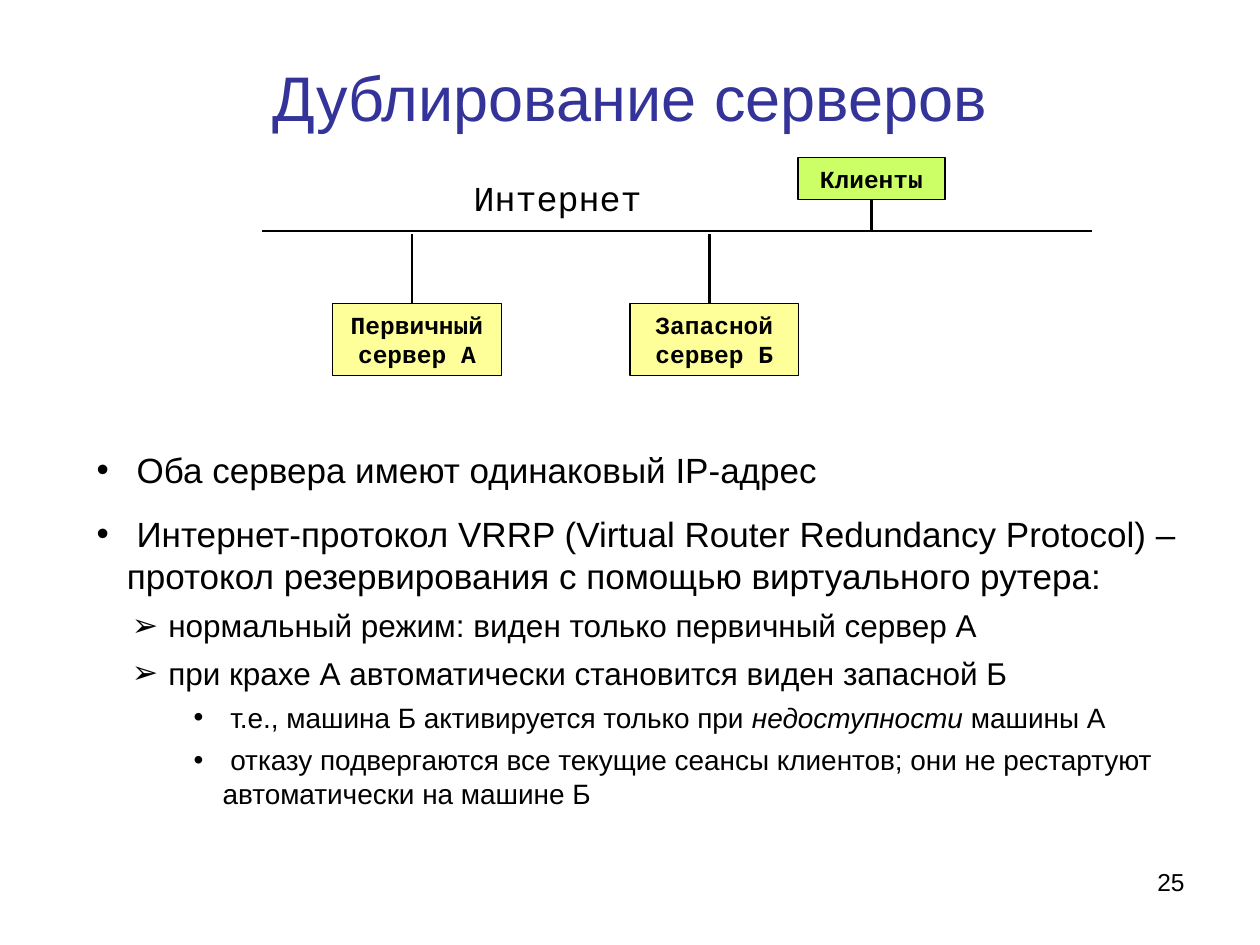
from lxml.etree import SubElement
from pptx import Presentation
from pptx.dml.color import RGBColor
from pptx.enum.shapes import MSO_CONNECTOR as Connector, MSO_SHAPE as Shape
from pptx.enum.text import MSO_ANCHOR as Anchor, MSO_AUTO_SIZE as AutoSize, PP_ALIGN as Align
from pptx.oxml.ns import qn
from pptx.util import Inches, Pt

COLORS = {"title": "333399", "ink": "000000", "server": "FFFF99", "client": "CCFF66"}
COLUMNS, ROWS = 120, 90
SANS, MONO = "Arial", "Courier New"
LEVELS = [
    {"bullet": "•", "size": 20, "before": 12.5, "margin": 0.24, "hang": 0.24},
    {"bullet": "➢", "size": 18, "before": 5.6, "margin": 0.5, "hang": 0.22},
    {"bullet": "•", "size": 16, "before": 5, "margin": 1, "hang": 0.23},
]
POINTS = [
    (0, [" Оба сервера имеют одинаковый IP-адрес"]),
    (0, [" Интернет-протокол VRRP (Virtual Router Redundancy Protocol) – "
         "протокол резервирования с помощью виртуального рутера:"]),
    (1, [" нормальный режим: виден только первичный сервер А"]),
    (1, [" при крахе А автоматически становится виден запасной Б"]),
    (2, [" т.е., машина Б активируется только при ", "недоступности ", "машины А"]),
    (2, [" отказу подвергаются все текущие сеансы клиентов; "
         "они не рестартуют автоматически на машине Б"]),
]


class SlideBuilder:
    """Draws styled elements on one slide, placed by grid columns and rows."""

    def __init__(self, deck):
        self.column = deck.slide_width / COLUMNS
        self.row = deck.slide_height / ROWS
        self.page = deck.slides.add_slide(deck.slide_layouts[1])

    def place(self, left, top, width, height):
        return (round(left * self.column), round(top * self.row),
                round(width * self.column), round(height * self.row))

    def move(self, box, area):
        box.left, box.top, box.width, box.height = self.place(*area)

    def style(self, para, size, font=SANS, color="ink", bold=False, align=Align.LEFT):
        para.alignment = align
        para.font.size = Pt(size)
        para.font.name = font
        para.font.bold = bold
        para.font.color.rgb = RGBColor.from_string(COLORS[color])

    def set_text(self, box, text, size, anchor=Anchor.TOP, **style):
        frame = box.text_frame
        frame.word_wrap = True
        frame.auto_size = AutoSize.NONE
        frame.vertical_anchor = anchor
        frame.text = text
        self.style(frame.paragraphs[0], size, **style)

    def title(self, text, *area):
        box = self.page.shapes.title
        self.move(box, area)
        self.set_text(box, text, 36, Anchor.MIDDLE, color="title", align=Align.CENTER)

    def label(self, text, size, *area, **style):
        box = self.page.shapes.add_textbox(*self.place(*area))
        self.set_text(box, text, size, **style)

    def node(self, text, color, *area):
        box = self.page.shapes.add_shape(Shape.RECTANGLE, *self.place(*area))
        box.shadow.inherit = False
        box.fill.solid()
        box.fill.fore_color.rgb = RGBColor.from_string(COLORS[color])
        box.line.color.rgb = RGBColor.from_string(COLORS["ink"])
        box.line.width = Pt(0.75)
        self.set_text(box, text, 14, font=MONO, bold=True, align=Align.CENTER)
        return box

    def line(self, left, top, right, bottom, start=None):
        x1, y1, x2, y2 = self.place(left, top, right, bottom)
        link = self.page.shapes.add_connector(Connector.STRAIGHT, x1, y1, x2, y2)
        link.line.color.rgb = RGBColor.from_string(COLORS["ink"])
        link.line.width = Pt(1.5)
        SubElement(link._element.spPr, qn("a:effectLst"))
        if start is not None:
            link.begin_connect(start, 2)

    def bullets(self, points, *area):
        box = self.page.placeholders[1]
        self.move(box, area)
        frame = box.text_frame
        frame.auto_size = AutoSize.NONE
        for index, (level, texts) in enumerate(points):
            para = frame.add_paragraph() if index else frame.paragraphs[0]
            look = LEVELS[level]
            para.level = level
            para.space_before = Pt(look["before"])
            self.style(para, look["size"])
            for position, text in enumerate(texts):
                span = para.add_run()
                span.text = text
                if position == 1:
                    span.font.italic = True
            props = para._p.get_or_add_pPr()
            props.set("marL", str(Inches(look["margin"])))
            props.set("indent", str(-Inches(look["hang"])))
            bullet = SubElement(props, qn("a:buChar"), char=look["bullet"])
            props.find(qn("a:defRPr")).addprevious(bullet)


def main():
    deck = Presentation()
    deck.slide_width, deck.slide_height = Inches(10), Inches(7.5)
    slide = SlideBuilder(deck)
    slide.title("Дублирование серверов", 0, 1.68, COLUMNS, 15)
    slide.bullets(POINTS, 8, 42.12, 108.72, 40.08)
    server_top, bus = 28.92, 22
    for left, name in ((31.68, "Первичный сервер А"), (60, "Запасной сервер Б")):
        slide.node(name, "server", left, server_top, 16.08, 6.84)
        slide.line(left + 7.56, server_top, left + 7.56, bus + 0.32)
    slide.label("Интернет", 20, 43.92, 16.2, 22.68, 5.28, font=MONO)
    client = slide.node("Клиенты", "client", 76, 15, 14, 4)
    slide.line(25, bus, 104, bus)
    slide.line(83, 19, 83, bus, start=client)
    slide.label("25", 14, 86, 82, 28, 6.24, align=Align.RIGHT)
    deck.save("out.pptx")


if __name__ == "__main__":
    main()
